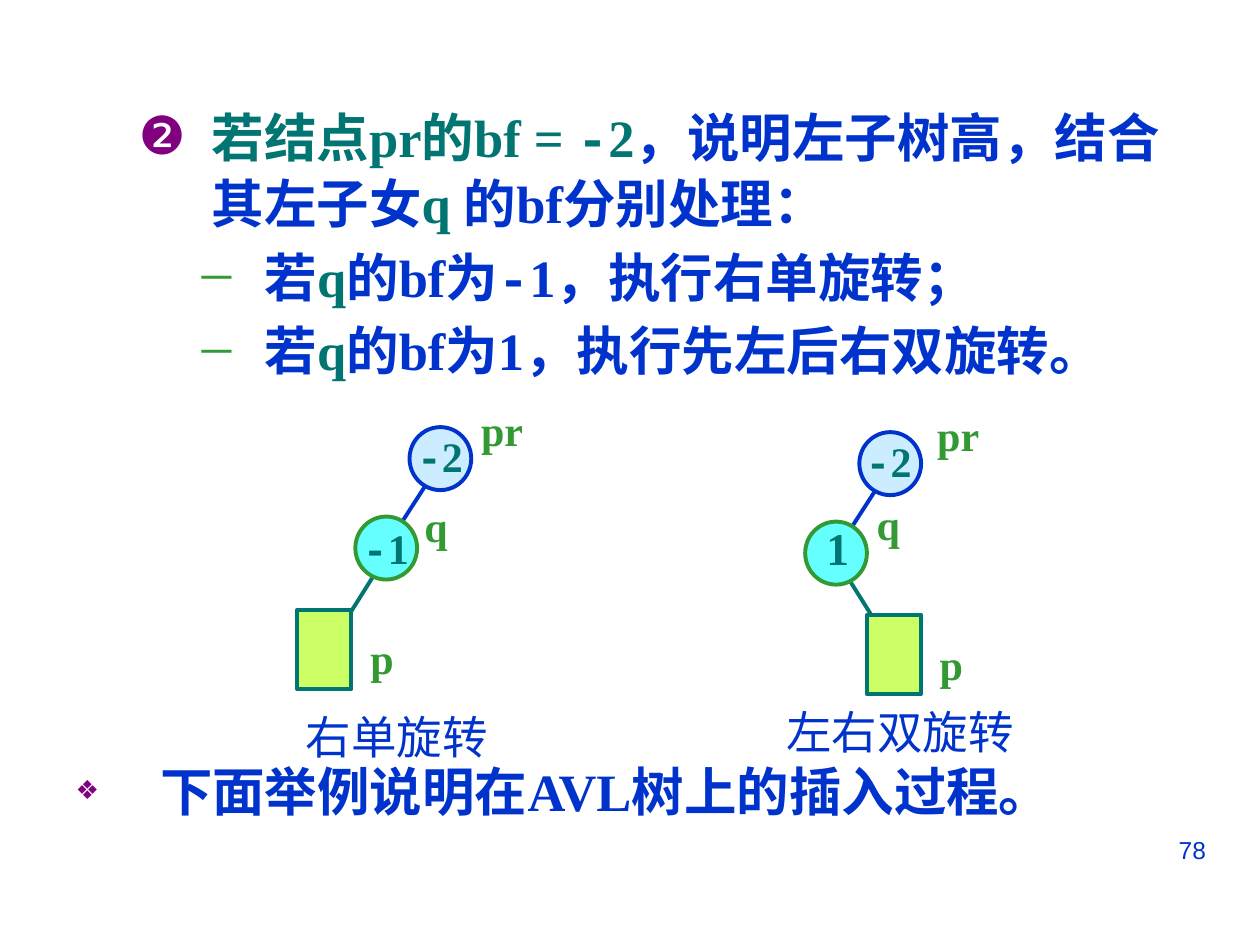
from dataclasses import dataclass

from lxml import etree
from pptx import Presentation
from pptx.dml.color import RGBColor
from pptx.enum.shapes import MSO_CONNECTOR, MSO_SHAPE
from pptx.enum.text import MSO_ANCHOR, MSO_AUTO_SIZE, PP_ALIGN
from pptx.oxml.ns import qn
from pptx.util import Inches, Pt

OVAL, BLOCK = MSO_SHAPE.OVAL, MSO_SHAPE.RECTANGLE
STRAIGHT = MSO_CONNECTOR.STRAIGHT
TOP = MSO_ANCHOR.TOP
FIXED, GROW = MSO_AUTO_SIZE.NONE, MSO_AUTO_SIZE.SHAPE_TO_FIT_TEXT
LEFT, RIGHT = PP_ALIGN.LEFT, PP_ALIGN.RIGHT


@dataclass(frozen=True)
class Theme:
    blue: str = "0033CC"
    teal: str = "007572"
    green: str = "339933"
    purple: str = "800080"
    sky: str = "CCECFF"
    aqua: str = "66FFFF"
    lime: str = "CCFF66"
    serif: str = "Times New Roman"
    sans: str = "Arial"
    mono: str = "Courier New"
    body: int = 30
    large: int = 26
    label: int = 24
    small: int = 14
    line: float = 2.25


THEME = Theme()


@dataclass(frozen=True)
class Piece:
    text: str
    color: str = THEME.blue
    font: str = THEME.serif


@dataclass(frozen=True)
class Item:
    level: int
    left: float
    hang: float
    bullet: str
    tint: str
    scale: int
    before: float
    pitch: float
    words: list[Piece]


@dataclass(frozen=True)
class Label:
    x: float
    y: float
    wide: float
    words: list[Piece]
    size: int = THEME.label
    bold: bool = True


@dataclass(frozen=True)
class Tree:
    x: float
    y: float
    side: int
    box: float
    labels: list[Label]


def color(code: str) -> RGBColor:
    return RGBColor.from_string(code)


def write(para, words: list[Piece], size: int, bold: bool) -> None:
    fonts = {word.font for word in words}
    tints = {word.color for word in words}
    para.font.size, para.font.bold = Pt(size), bold
    if len(fonts) == 1:
        para.font.name = words[0].font
    if len(tints) == 1:
        para.font.color.rgb = color(words[0].color)
    for word in words:
        run = para.add_run()
        run.text = word.text
        if len(fonts) > 1:
            run.font.name = word.font
        if len(tints) > 1:
            run.font.color.rgb = color(word.color)


def add_item(para, item: Item) -> None:
    para.level = item.level
    props = para._p.get_or_add_pPr()
    props.set("marL", str(Inches(item.left)))
    props.set("indent", str(Inches(-item.hang)))
    tint = etree.SubElement(props, qn("a:buClr"))
    etree.SubElement(tint, qn("a:srgbClr"), val=item.tint)
    etree.SubElement(props, qn("a:buSzPct"), val=str(item.scale * 1000))
    etree.SubElement(props, qn("a:buFont"), typeface=THEME.sans)
    etree.SubElement(props, qn("a:buChar"), char=item.bullet)
    para.alignment = LEFT
    para.space_before = Pt(item.before)
    para.line_spacing = item.pitch
    write(para, item.words, THEME.body, True)


def add_label(shapes, label: Label) -> None:
    high = 0.53 if label.size == THEME.large else 0.5
    box = shapes.add_textbox(Inches(label.x), Inches(label.y), Inches(label.wide), Inches(high))
    box.text_frame.word_wrap = False
    box.text_frame.auto_size = GROW
    write(box.text_frame.paragraphs[0], label.words, label.size, label.bold)


def add_node(shapes, kind, x: float, y: float, wide: float, high: float, fill: str, edge: str) -> None:
    node = shapes.add_shape(kind, Inches(x), Inches(y), Inches(wide), Inches(high))
    node.shadow.inherit = False
    node.fill.solid()
    node.fill.fore_color.rgb = color(fill)
    node.line.color.rgb = color(edge)
    node.line.width = Pt(THEME.line)


def add_edge(shapes, x: float, y: float, run: float, edge: str) -> None:
    line = shapes.add_connector(STRAIGHT, Inches(x), Inches(y), Inches(x + run), Inches(y + 0.59))
    line.line.color.rgb = color(edge)
    line.line.width = Pt(THEME.line)
    etree.SubElement(line._element.spPr, qn("a:effectLst"))


def add_tree(slide, tree: Tree) -> None:
    shapes = slide.shapes.add_group_shape().shapes
    x, y = tree.x, tree.y
    add_edge(shapes, x - 0.18 + tree.side * 0.03, y + 1.06, tree.side * 0.37, THEME.teal)
    add_edge(shapes, x + 0.2, y + 0.35, -0.38, THEME.blue)
    add_node(shapes, OVAL, x, y, 0.49, 0.5, THEME.sky, THEME.blue)
    add_node(shapes, OVAL, x - 0.43, y + 0.71, 0.49, 0.5, THEME.aqua, THEME.green)
    add_node(shapes, BLOCK, tree.box, y + 1.45, 0.43, 0.63, THEME.lime, THEME.teal)
    for label in tree.labels:
        add_label(shapes, label)


def name(text: str) -> list[Piece]:
    return [Piece(text, THEME.green)]


def minus(digit: str) -> list[Piece]:
    return [Piece("-", THEME.teal, THEME.mono), Piece(digit, THEME.teal)]


def dash(words: list[Piece]) -> Item:
    lead = [Piece("若"), Piece("q", THEME.teal)]
    return Item(2, 1.5, 0.5, "─", THEME.green, 80, 6, 1, lead + words)


ITEMS = [
    Item(1, 1.08, 0.58, "❷", THEME.purple, 100, 0, 1.05, [
        Piece("若结点pr的bf = ", THEME.teal), *minus("2"), Piece("，说明左子树高，结合其左子女"),
        Piece("q ", THEME.teal), Piece("的bf分别处理：")]),
    dash([Piece("的bf为"), Piece("-", font=THEME.mono), Piece("1，执行右单旋转；")]),
    dash([Piece("的bf为1，执行先左后右双旋转。")]),
    Item(0, 0.67, 0.67, "❖", THEME.purple, 50, 216, 1, [Piece("下面举例说明在AVL树上的插入过程。")]),
]

TREES = [
    Tree(3.25, 3.39, -1, 2.36, [
        Label(3.21, 3.37, 0.57, minus("2")), Label(3.27, 3.92, 0.39, name("q")),
        Label(2.78, 4.1, 0.57, minus("1")), Label(3.72, 3.16, 0.53, name("pr")),
        Label(2.84, 4.97, 0.39, name("p"))]),
    Tree(6.82, 3.43, 1, 6.88, [
        Label(6.77, 3.41, 0.57, minus("2")), Label(6.86, 3.91, 0.39, name("q")),
        Label(6.46, 4.08, 0.38, [Piece("1", THEME.teal)], THEME.large),
        Label(7.34, 3.2, 0.53, name("pr")), Label(7.36, 5.02, 0.39, name("p"))]),
]

NOTES = [
    Label(2.33, 5.58, 1.65, [Piece("右单旋转", font=THEME.sans)], THEME.large, False),
    Label(6.14, 5.54, 2.01, [Piece("左右双旋转", font=THEME.sans)], THEME.large, False),
]


def main() -> None:
    deck = Presentation()
    deck.slide_width, deck.slide_height = Inches(10), Inches(7.5)
    slide = deck.slides.add_slide(deck.slide_layouts[1])
    title = slide.shapes.title._element
    title.getparent().remove(title)

    body = slide.placeholders[1]
    body.left, body.top, body.width, body.height = Inches(0.5), Inches(0.76), Inches(9), Inches(6.18)
    frame = body.text_frame
    frame.word_wrap, frame.auto_size, frame.vertical_anchor = True, FIXED, TOP
    for i, item in enumerate(ITEMS):
        add_item(frame.add_paragraph() if i else frame.paragraphs[0], item)

    for tree in TREES:
        add_tree(slide, tree)
    for note in NOTES:
        add_label(slide.shapes, note)

    page = slide.shapes.add_textbox(Inches(7.17), Inches(6.58), Inches(2.5), Inches(0.52)).text_frame
    page.word_wrap = True
    page.paragraphs[0].alignment = RIGHT
    write(page.paragraphs[0], [Piece("78", font=THEME.sans)], THEME.small, False)
    deck.save("out.pptx")


if __name__ == "__main__":
    main()
